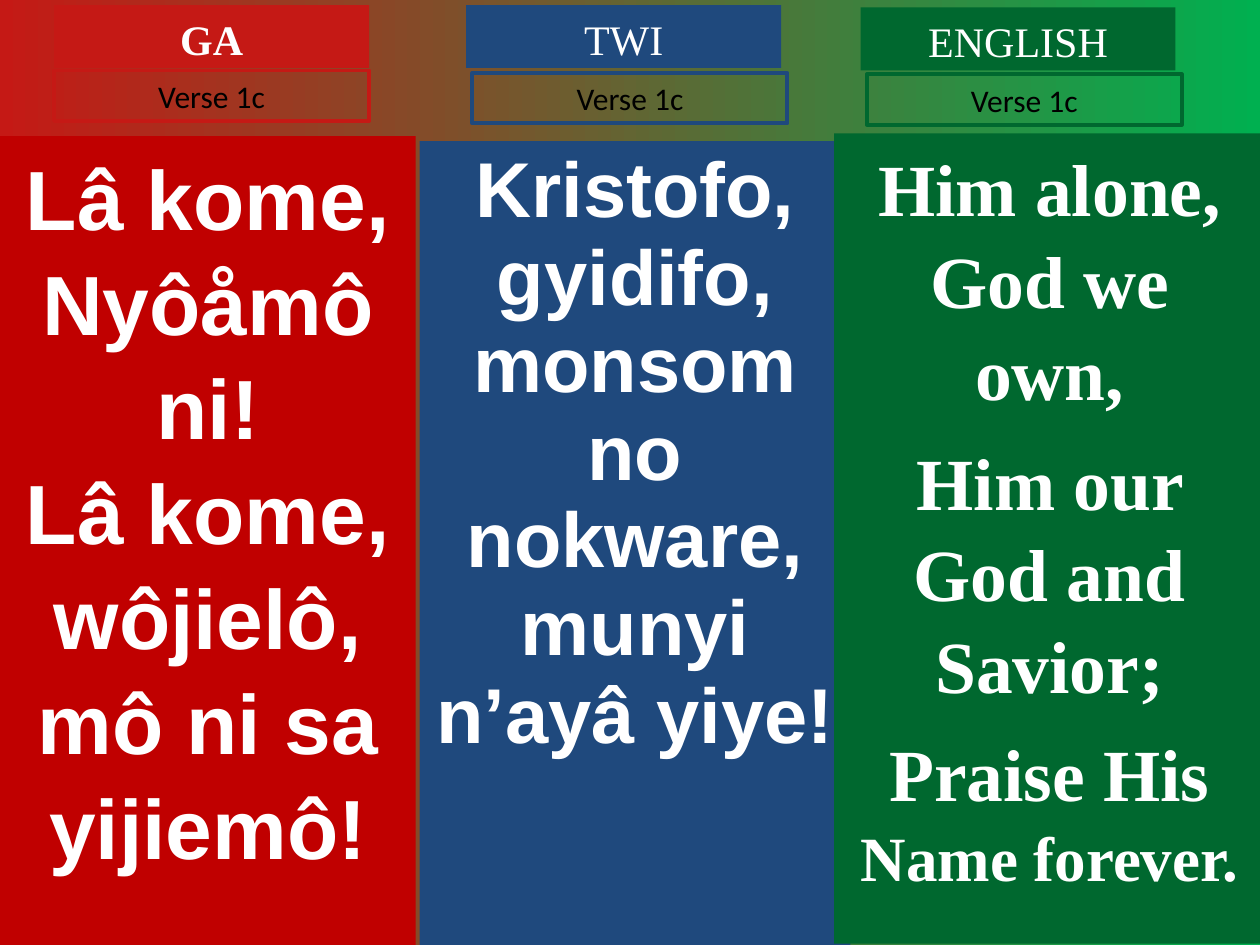
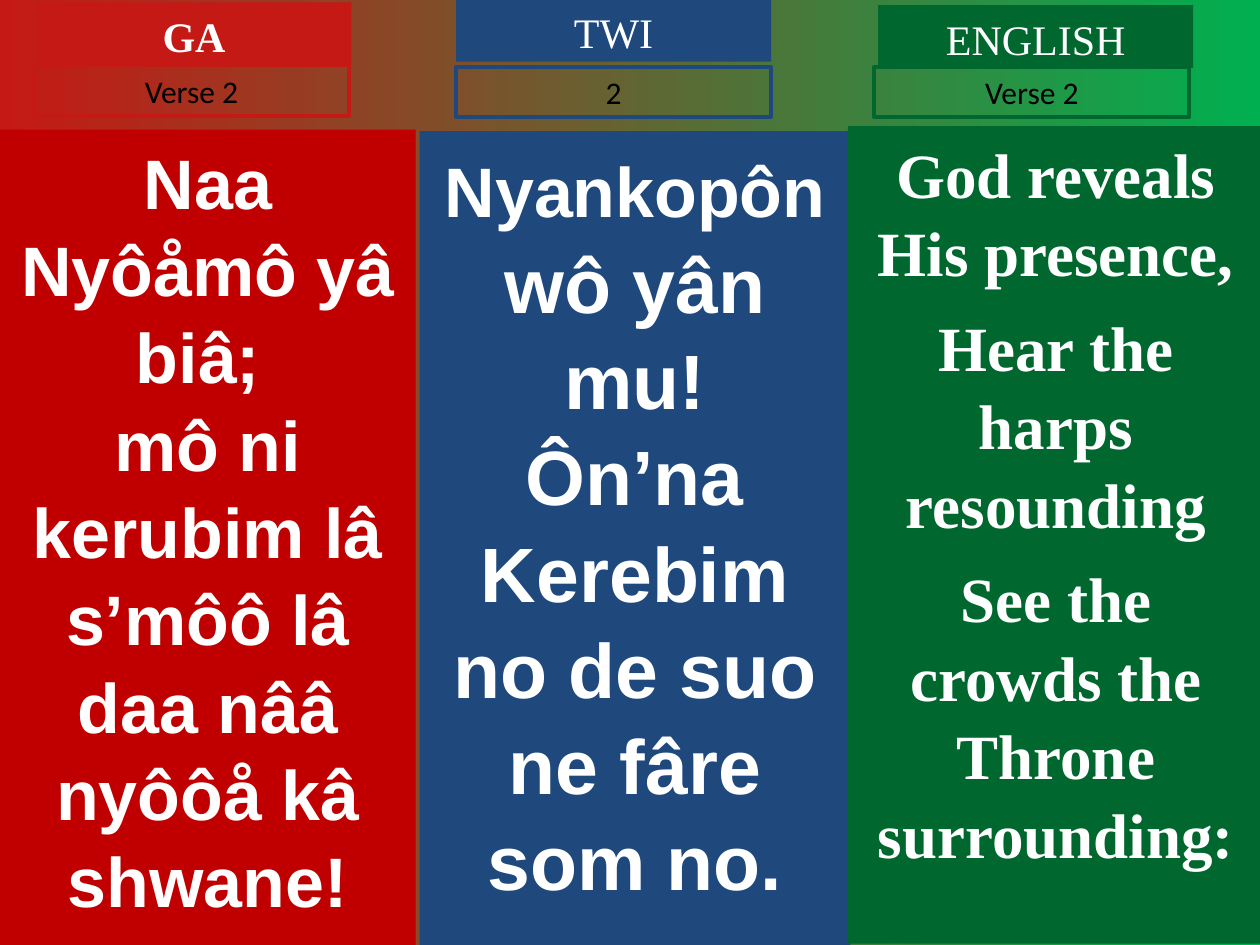
"""Build two hymn slides with parallel Ga, Twi and English verses."""
from dataclasses import dataclass

from pptx import Presentation
from pptx.dml.color import RGBColor
from pptx.enum.shapes import MSO_SHAPE as Shape
from pptx.enum.text import MSO_ANCHOR as Anchor, PP_ALIGN as Align
from pptx.util import Inches, Pt

WIDTH, HEIGHT = Inches(10), Inches(7.5)
COLUMNS, ROWS = 100, 75
TAG_WIDTH, TITLE_ROWS, VERSE_ROWS = 25, 5, 4
WHITE, BLACK = "FFFFFF", "000000"
BACKGROUND = ("C51915", "00B050")
LEADING = 1.04


@dataclass(frozen=True)
class Language:
    name: str
    panel_color: str
    tag_color: str
    font: str
    bold_title: bool = False


@dataclass(frozen=True)
class Area:
    left: float
    top: float
    width: float
    height: float


@dataclass(frozen=True)
class Span:
    text: str
    size: float


@dataclass(frozen=True)
class Column:
    language: Language
    panel: Area
    title_at: tuple[float, float]
    verse_at: tuple[float, float]
    verse: str
    lyrics: list[list[Span]]
    leading: float = LEADING
    gaps: tuple[float, ...] = ()


GA = Language("GA", "C00000", "C51915", "Arial", bold_title=True)
TWI = Language("TWI", "1F497D", "1F497D", "Arial")
ENGLISH = Language("ENGLISH", "00682F", "00682F", "Times New Roman")


def lines(size: float, *texts: str) -> list[list[Span]]:
    """Turn plain lines into paragraphs of one size."""
    return [[Span(text, size)] for text in texts]


SLIDES = [
    [
        Column(GA, Area(0, 10.8, 33, 64.2), (4.3, 0.4), (4.3, 5.6), "Verse 1c",
               lines(48, "Lâ kome, Nyôåmô ni!", "Lâ kome, wôjielô,",
                     "mô ni sa yijiemô!")),
        Column(TWI, Area(33.3, 11.2, 34.2, 63.8), (37, 0.4), (37.5, 5.8), "Verse 1c",
               lines(44.4, "Kristofo, gyidifo,", "monsom no nokware,",
                     "munyi n’ayâ yiye!"), leading=0.9 * LEADING),
        Column(ENGLISH, Area(66.2, 10.6, 34.2, 64.3), (68.3, 0.6), (68.8, 5.9), "Verse 1c",
               lines(42, "Him alone, God we own,", "Him our God and Savior;")
               + [[Span("Praise His ", 42), Span("Name forever.", 36)]],
               gaps=(10.5, 9)),
    ],
    [
        Column(GA, Area(0, 10.3, 33, 64.7), (2.9, 0.2), (2.7, 5.2), "Verse 2",
               lines(40, "Naa Nyôåmô yâ biâ; ",
                     "mô ni kerubim lâ s’môô lâ daa nââ nyôôå kâ shwane!")),
        Column(TWI, Area(33.3, 10.4, 34.2, 64.6), (36.2, -0.1), (36.2, 5.3), "2",
               [[Span("Nyankopôn", 40), Span(" wô yân mu!", 44)]]
               + lines(44, "Ôn’na Kerebim no de suo ne fâre som no.")),
        Column(ENGLISH, Area(67.3, 10, 33, 64.9), (69.7, 0.4), (69.4, 5.3), "Verse 2",
               lines(36, "God reveals His presence,", "Hear the harps resounding",
                     "See the crowds the Throne surrounding:"),
               gaps=(9, 9)),
    ],
]


def rgb(color: str) -> RGBColor:
    """Convert a hex string to a colour."""
    return RGBColor.from_string(color)


def add_box(page, area: Area, fill: str | None = None, line: str | None = None):
    """Add a rectangle placed on the grid."""
    box = page.shapes.add_shape(
        Shape.RECTANGLE,
        round(WIDTH * area.left / COLUMNS), round(HEIGHT * area.top / ROWS),
        round(WIDTH * area.width / COLUMNS), round(HEIGHT * area.height / ROWS))
    box.shadow.inherit = False
    if fill:
        box.fill.solid()
        box.fill.fore_color.rgb = rgb(fill)
    else:
        box.fill.background()
    if line:
        box.line.color.rgb = rgb(line)
        box.line.width = Pt(2.25)
    else:
        box.line.fill.background()
    return box


def write(box, paragraphs: list[list[Span]], *, font: str, color: str = WHITE,
          bold: bool = False, leading: float = LEADING,
          gaps: tuple[float, ...] = ()) -> None:
    """Fill a box with centred paragraphs, gaps being the space before later ones."""
    frame = box.text_frame
    frame.word_wrap = True
    frame.vertical_anchor = Anchor.TOP
    for index, spans in enumerate(paragraphs):
        para = frame.add_paragraph() if index else frame.paragraphs[0]
        para.alignment = Align.CENTER
        para.line_spacing = round(leading, 2)
        if index and gaps:
            para.space_before = Pt(gaps[index - 1])
        for span in spans:
            run = para.add_run()
            run.text = span.text
            run.font.name = font
            run.font.size = Pt(span.size)
            run.font.bold = bold
            run.font.color.rgb = rgb(color)


def add_column(page, column: Column) -> None:
    """Draw the lyrics panel, language title and verse tag of one language."""
    language = column.language
    panel = add_box(page, column.panel, fill=language.panel_color)
    write(panel, column.lyrics, font=language.font, bold=True,
          leading=column.leading, gaps=column.gaps)
    title = add_box(page, Area(*column.title_at, TAG_WIDTH, TITLE_ROWS),
                    fill=language.tag_color)
    write(title, lines(24, language.name), font="Times New Roman",
          bold=language.bold_title)
    verse = add_box(page, Area(*column.verse_at, TAG_WIDTH, VERSE_ROWS),
                    line=language.tag_color)
    write(verse, lines(18, column.verse), font="Calibri", color=BLACK, leading=1.0)


def paint_background(page) -> None:
    """Give the page its left-to-right gradient."""
    fill = page.background.fill
    fill.gradient()
    fill.gradient_angle = 0
    for position, (stop, color) in enumerate(zip(fill.gradient_stops, BACKGROUND)):
        stop.position = position
        stop.color.rgb = rgb(color)


def main() -> None:
    """Build and save the deck."""
    deck = Presentation()
    deck.slide_width, deck.slide_height = WIDTH, HEIGHT
    for columns in SLIDES:
        page = deck.slides.add_slide(deck.slide_layouts[6])
        paint_background(page)
        for column in columns:
            add_column(page, column)
    deck.save("out.pptx")


if __name__ == "__main__":
    main()
